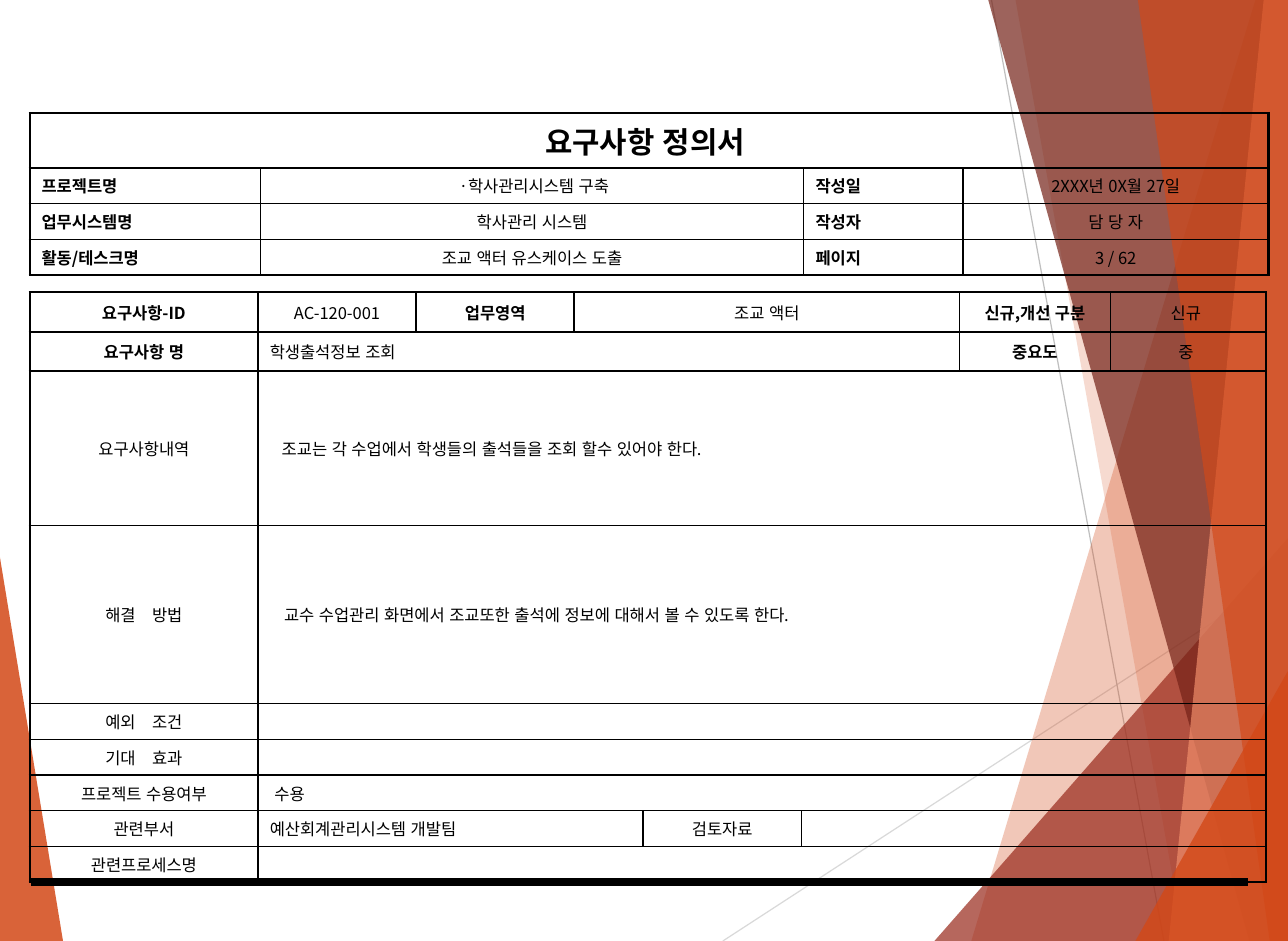
from lxml import etree
from pptx import Presentation
from pptx.dml.color import RGBColor
from pptx.enum.lang import MSO_LANGUAGE_ID
from pptx.enum.shapes import MSO_CONNECTOR
from pptx.enum.text import MSO_ANCHOR, PP_ALIGN
from pptx.oxml.ns import qn
from pptx.util import Inches, Pt

STRAIGHT = MSO_CONNECTOR.STRAIGHT
MIDDLE = MSO_ANCHOR.MIDDLE
KOREAN = MSO_LANGUAGE_ID.KOREAN
LEFT, CENTER, JUSTIFY = PP_ALIGN.LEFT, PP_ALIGN.CENTER, PP_ALIGN.JUSTIFY

BLACK = RGBColor(0x00, 0x00, 0x00)
ORANGE = RGBColor(0xD3, 0x48, 0x17)
RED = RGBColor(0x9B, 0x2D, 0x1F)
MAROON = RGBColor(0x74, 0x22, 0x17)
SALMON = RGBColor(0xEF, 0x8C, 0x6A)
LIGHT_GRAY = RGBColor(0xD9, 0xD9, 0xD9)
MID_GRAY = RGBColor(0xBF, 0xBF, 0xBF)

PLAIN_TABLE = "{2D5ABB26-0587-4C30-8999-92F81FD0307C}"
OUTER, INNER = 1.5, 1
WIDTH, HEIGHT = 65 / 6, 95 / 12

# Cell formats: alignment, font size, bold and extra left indent
TITLE = {"align": CENTER, "size": 18, "bold": True}
NAME = {"align": JUSTIFY, "bold": True}
HEAD = {"align": CENTER, "bold": True}
MID = {"align": CENTER}
BODY = {"align": LEFT}


class FormSlide:
    """Holds the type style and the slide, and draws each kind of element."""

    def __init__(self, slide, font="Noto Sans CJK KR", size=10):
        self.slide = slide
        self.font = font
        self.size = size

    def facet(self, points, color, opacity):
        corners = [(Inches(x), Inches(y)) for x, y in points]
        builder = self.slide.shapes.build_freeform(*corners[0])
        builder.add_line_segments(corners[1:], close=True)
        shape = builder.convert_to_shape()
        shape.shadow.inherit = False
        shape.line.fill.background()
        shape.fill.solid()
        shape.fill.fore_color.rgb = color
        tint = shape.element.spPr.find(".//" + qn("a:srgbClr"))
        etree.SubElement(tint, qn("a:alpha"), val=str(opacity * 1000))

    def line(self, start, end, color, width):
        ends = [Inches(v) for v in (*start, *end)]
        connector = self.slide.shapes.add_connector(STRAIGHT, *ends)
        connector.line.color.rgb = color
        connector.line.width = Pt(width)
        etree.SubElement(connector.element.spPr, qn("a:effectLst"))

    def table(self, left, top, widths, heights, rows, heavy_edges=()):
        """Each row lists (text, column span, format); heavy_edges are row lines."""
        frame = self.slide.shapes.add_table(
            len(heights), len(widths), Inches(left), Inches(top),
            Inches(sum(widths)), Inches(sum(heights)))
        frame.element.find(".//" + qn("a:tableStyleId")).text = PLAIN_TABLE
        table = frame.table
        table.first_row = table.horz_banding = False
        for column, width in zip(table.columns, widths):
            column.width = Inches(width)
        for row, height in zip(table.rows, heights):
            row.height = Inches(height)
        heavy = {0, len(heights), *heavy_edges}
        for r, entries in enumerate(rows):
            c = 0
            for text, span, style in entries:
                cell = table.cell(r, c)
                if span > 1:
                    cell.merge(table.cell(r, c + span - 1))
                self.fill_cell(cell, text, style)
                self.borders(cell, {
                    "a:lnL": OUTER if c == 0 else INNER,
                    "a:lnR": OUTER if c + span == len(widths) else INNER,
                    "a:lnT": OUTER if r in heavy else INNER,
                    "a:lnB": OUTER if r + 1 in heavy else INNER,
                })
                c += span

    def fill_cell(self, cell, text, style):
        cell.fill.background()
        layout = {
            "vertical_anchor": MIDDLE,
            "margin_left": Inches(0.1 + style.get("indent", 0)),
            "margin_right": Inches(0.1),
            "margin_top": Inches(0.05),
            "margin_bottom": Inches(0.05),
        }
        for key, value in layout.items():
            setattr(cell, key, value)
        paragraph = cell.text_frame.paragraphs[0]
        paragraph.alignment = style["align"]
        size = style.get("size", self.size)
        if not text:
            etree.SubElement(paragraph._p, qn("a:endParaRPr"), sz=str(size * 100))
            return
        run = paragraph.add_run()
        run.text = text
        letters = {"name": self.font, "size": Pt(size), "language_id": KOREAN,
                   "bold": style.get("bold", False)}
        for key, value in letters.items():
            setattr(run.font, key, value)
        run.font.color.rgb = BLACK
        etree.SubElement(run.font._element, qn("a:ea"), typeface=self.font)

    def borders(self, cell, edges):
        properties = cell._tc.get_or_add_tcPr()
        for place, (tag, width) in enumerate(edges.items()):
            edge = etree.Element(qn(tag), w=str(Pt(width)))
            paint = etree.SubElement(edge, qn("a:solidFill"))
            etree.SubElement(paint, qn("a:srgbClr"), val=str(BLACK))
            properties.insert(place, edge)


def main():
    deck = Presentation()
    deck.slide_width, deck.slide_height = Inches(WIDTH), Inches(HEIGHT)
    form = FormSlide(deck.slides.add_slide(deck.slide_layouts[6]))

    # Background facets and rays
    form.facet([(-0.01, 4.63), (0.53, HEIGHT), (-0.01, HEIGHT)], ORANGE, 85)
    form.line((6.08, HEIGHT), (10.84, 4.82), LIGHT_GRAY, 0.75)
    form.line((8.34, 0), (9.79, HEIGHT), MID_GRAY, 0.75)
    # Each facet runs from its top edge to its bottom edge along the right side
    facets = [
        (10.56, 0, 8.17, ORANGE, 30),
        (8.54, -0.01, 9.96, ORANGE, 20),
        (10.83, 4.53, 7.86, RED, 72),
        (8.31, -0.01, 10.51, MAROON, 70),
        (10.63, -0.01, 9.83, SALMON, 70),
        (9.57, -0.01, 10.68, ORANGE, 65),
        (10.83, 5.65, 9.55, ORANGE, 80),
    ]
    for top_x, top_y, bottom_x, color, opacity in facets:
        form.facet([(top_x, top_y), (bottom_x, HEIGHT), (10.84, HEIGHT),
                    (10.84, top_y)], color, opacity)

    # Rule along the foot of the form
    form.line((0.26, 7.42), (10.5, 7.42), BLACK, 4.5)

    # Document header
    form.table(0.25, 0.95, [1.94, 4.57, 1.34, 2.57], [0.46] + [0.27] * 3, [
        [("요구사항 정의서 ", 4, TITLE)],
        [("프로젝트명", 1, NAME), (" ·학사관리시스템 구축", 1, MID),
         ("작성일", 1, NAME), ("2XXX년 0X월 27일", 1, MID)],
        [("업무시스템명 ", 1, NAME), ("학사관리 시스템", 1, MID),
         ("작성자", 1, NAME), ("담 당 자", 1, MID)],
        [("활동/테스크명", 1, NAME), ("조교 액터 유스케이스 도출", 1, MID),
         ("페이지", 1, NAME), ("3 / 62", 1, MID)],
    ])

    # Requirement details
    form.table(
        0.25, 2.46, [1.92, 1.33, 1.33, 0.58, 1.33, 1.33, 1.27, 1.31],
        [0.33, 0.33, 1.3, 1.5] + [0.27] * 5, [
            [("요구사항-ID", 1, HEAD), ("AC-120-001", 1, MID),
             ("업무영역", 1, HEAD), ("조교 액터", 3, MID),
             ("신규,개선 구분", 1, HEAD), ("신규 ", 1, MID)],
            [("요구사항 명", 1, HEAD), ("학생출석정보 조회", 5, BODY),
             ("중요도", 1, HEAD), ("중 ", 1, MID)],
            [("요구사항내역", 1, MID),
             ("조교는 각 수업에서 학생들의 출석들을 조회 할수 있어야 한다.", 7,
              {**BODY, "indent": 0.1})],
            [("해결　방법", 1, MID),
             ("교수 수업관리 화면에서 조교또한 출석에 정보에 대해서 볼 수 있도록 한다.", 7,
              {**BODY, "indent": 0.12})],
            [("예외　조건", 1, MID), ("", 7, BODY)],
            [("기대　효과", 1, MID), ("", 7, BODY)],
            [("프로젝트 수용여부", 1, MID), (" 수용", 7, BODY)],
            [("관련부서", 1, MID), ("예산회계관리시스템 개발팀", 3, BODY),
             ("검토자료", 1, MID), ("", 3, BODY)],
            [("관련프로세스명", 1, MID), ("", 7, BODY)],
        ], heavy_edges=(1, 2))

    deck.save("out.pptx")


if __name__ == "__main__":
    main()
